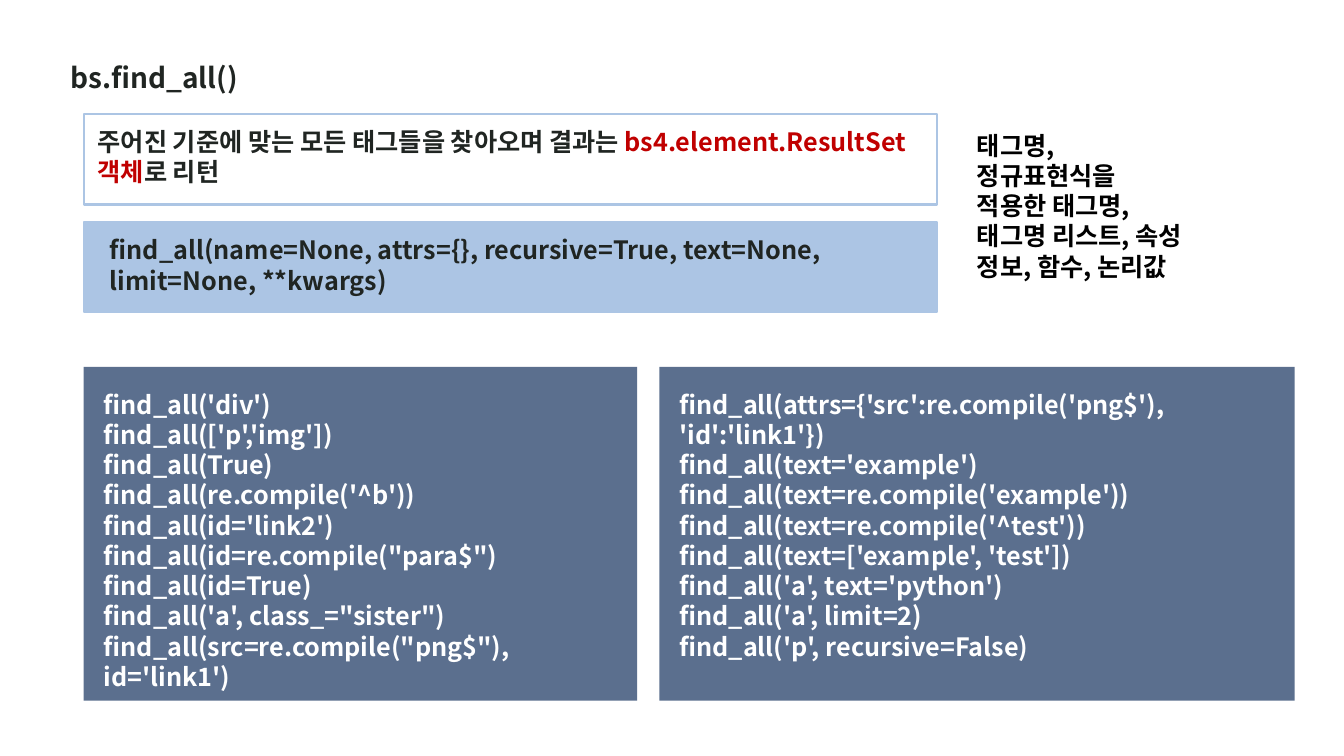
from pptx import Presentation
from pptx.dml.color import RGBColor
from pptx.enum.shapes import MSO_SHAPE
from pptx.enum.text import MSO_ANCHOR, MSO_AUTO_SIZE, PP_ALIGN
from pptx.oxml.ns import qn
from pptx.util import Inches, Pt
from lxml import etree

RECT = MSO_SHAPE.RECTANGLE
TOP = MSO_ANCHOR.TOP
NO_FIT = MSO_AUTO_SIZE.NONE
LEFT = PP_ALIGN.LEFT

FONT = "Noto Sans CJK KR"
INK = RGBColor(0x20, 0x25, 0x22)
BLACK = RGBColor(0, 0, 0)
WHITE = RGBColor(0xFF, 0xFF, 0xFF)
RED = RGBColor(0xC0, 0, 0)
SKY = RGBColor(0xAC, 0xC5, 0xE4)
SLATE = RGBColor(0x5B, 0x6F, 0x8E)

TAG_CALLS = [
    "find_all('div')",
    "find_all(['p','img'])",
    "find_all(True)",
    "find_all(re.compile('^b'))",
    "find_all(id='link2')",
    "find_all(id=re.compile(\"para$\")",
    "find_all(id=True)",
    "find_all('a', class_=\"sister\")",
    "find_all(src=re.compile(\"png$\"), id='link1')",
]
TEXT_CALLS = [
    "find_all(attrs={'src':re.compile('png$'), 'id':'link1'})",
    "find_all(text='example')",
    "find_all(text=re.compile('example'))",
    "find_all(text=re.compile('^test'))",
    "find_all(text=['example', 'test'])",
    "find_all('a', text='python')",
    "find_all('a', limit=2)",
    "find_all('p', recursive=False)",
]


def write_run(p, text, size=18, color=INK):
    """Add a bold run in the slide font for Latin and Korean text."""
    r = p.add_run()
    r.text = text
    r.font.name = FONT
    r.font.size = Pt(size)
    r.font.bold = True
    r.font.color.rgb = color
    ea = etree.SubElement(r.font._element, qn("a:ea"))
    ea.set("typeface", FONT)


def fill_text(sp, paragraphs, size=18, color=INK):
    """Write paragraphs, each a list of (text, colour) runs or a string."""
    tf = sp.text_frame
    tf.word_wrap = True
    tf.auto_size = NO_FIT
    tf.vertical_anchor = TOP
    for i, runs in enumerate(paragraphs):
        p = tf.paragraphs[0] if i == 0 else tf.add_paragraph()
        p.alignment = LEFT
        if isinstance(runs, str):
            runs = [(runs, color)]
        for text, run_color in runs:
            write_run(p, text, size=size, color=run_color)


def add_text(slide, box, paragraphs, **fmt):
    """Add a text box holding the given paragraphs."""
    sp = slide.shapes.add_textbox(*map(Inches, box))
    fill_text(sp, paragraphs, **fmt)


def add_panel(slide, box, paragraphs, inset, fill=SLATE, line=None, color=WHITE):
    """Draw a rectangle with text inset from its left and top edges."""
    sp = slide.shapes.add_shape(RECT, *map(Inches, box))
    sp.shadow.inherit = False
    sp.fill.solid()
    sp.fill.fore_color.rgb = fill
    if line is None:
        sp.line.fill.background()
    else:
        sp.line.color.rgb = line
        sp.line.width = Pt(1.5)
    x, y, w, h = box
    dx, dy = inset
    text_box = (x + dx, y + dy, w - 2 * dx, h - 2 * dy)
    add_text(slide, text_box, paragraphs, color=color)


def add_title(slide, box, text):
    """Place and format the title placeholder."""
    title = slide.shapes.title
    title.left, title.top, title.width, title.height = map(Inches, box)
    fill_text(title, [text], size=20)


def add_definition(slide, box):
    """Place the description, the signature and the note on arguments."""
    x, y, w, h = box
    summary = [
        ("주어진 기준에 맞는 모든 태그들을 찾아오며 결과는 ", INK),
        ("bs4.element.ResultSet 객체", RED),
        ("로 리턴", INK),
    ]
    signature = ("find_all(name=None, attrs={}, recursive=True, text=None, "
                 "limit=None, **kwargs)")
    note = "태그명, 정규표현식을 적용한 태그명, 태그명 리스트, 속성 정보, 함수, 논리값"
    row = 0.9
    add_panel(slide, (x, y, w, row), [summary], (0.04, 0.07),
              fill=WHITE, line=SKY)
    add_panel(slide, (x, y + h - row, w, row), [signature], (0.16, 0.08),
              fill=SKY, line=SKY, color=INK)
    add_text(slide, (x + w + 0.3, y + 0.11, 2.24, 1.92), [note], color=BLACK)


def add_examples(slide, box):
    """Place the two panels of example calls side by side."""
    x, y, w, h = box
    gap, left_w = 0.22, 5.49
    right_x = x + left_w + gap
    inset = (0.1, 0.17)
    add_panel(slide, (x, y, left_w, h), TAG_CALLS, inset)
    add_panel(slide, (right_x, y, x + w - right_x, h), TEXT_CALLS, inset)


def main():
    """Build the slide and save it."""
    prs = Presentation()
    prs.slide_width, prs.slide_height = Inches(13.33), Inches(7.5)
    slide = prs.slides.add_slide(prs.slide_layouts[5])
    add_title(slide, (0.6, 0.55, 8.69, 0.44), "bs.find_all()")
    add_definition(slide, (0.83, 1.13, 8.46, 1.97))
    add_examples(slide, (0.83, 3.64, 12.01, 3.31))
    prs.save("out.pptx")


if __name__ == "__main__":
    main()
